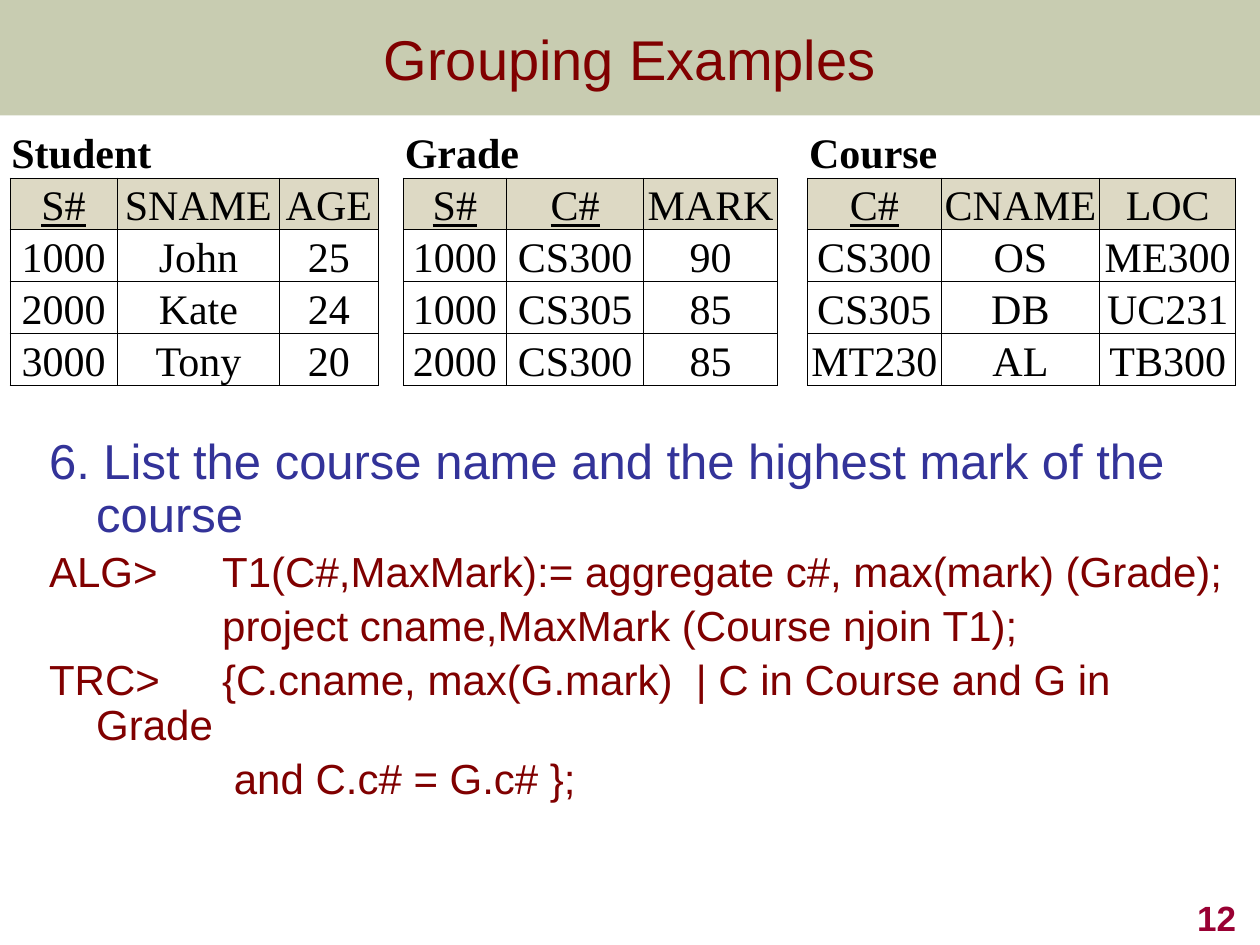
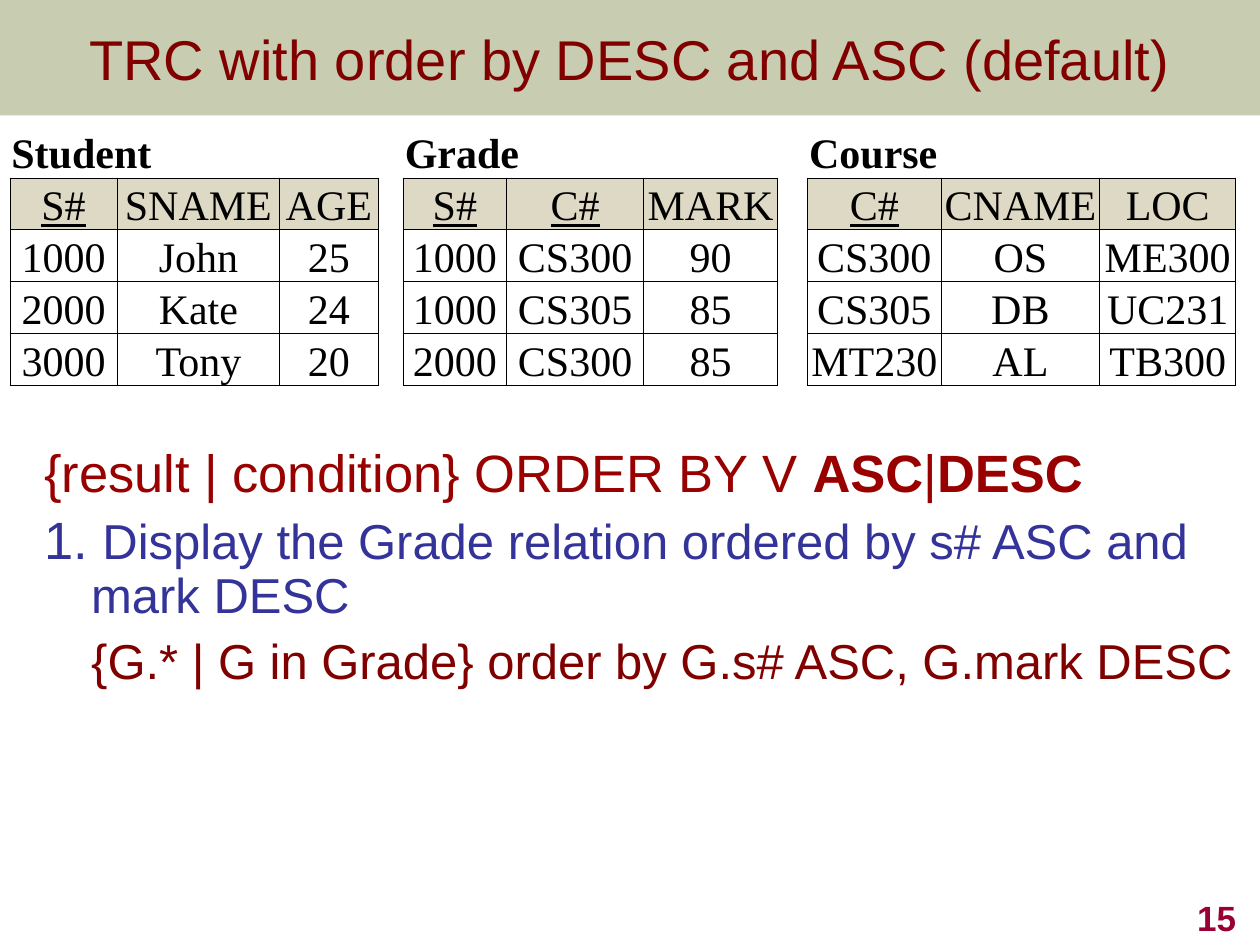
from dataclasses import dataclass

import lxml.etree
import pptx
import pptx.dml.color
import pptx.enum.shapes
import pptx.enum.text
import pptx.oxml.ns
import pptx.slide
import pptx.table
import pptx.text.text
import pptx.util
from pptx.util import Cm

ALIGN = pptx.enum.text.PP_ALIGN
ANCHOR = pptx.enum.text.MSO_ANCHOR


@dataclass(frozen=True)
class Theme:
    sans: str = "Arial"
    serif: str = "Times New Roman"
    band: str = "677228"
    band_alpha: int = 36
    title: str = "800000"
    answer: str = "800000"
    syntax: str = "990000"
    question: str = "333399"
    number: str = "990033"
    ink: str = "000000"
    paper: str = "FFFFFF"
    header: str = "DDD9C4"
    title_size: int = 32
    syntax_size: int = 30
    question_size: int = 28
    answer_size: int = 24
    cell_size: int = 24
    number_size: int = 20
    border: float = 0.5
    plain_table: str = "{2D5ABB26-0587-4C30-8999-92F81FD0307C}"


THEME = Theme()


@dataclass(frozen=True)
class Span:
    text: str
    size: int
    color: str
    bold: bool = False


@dataclass(frozen=True)
class Box:
    left: float
    top: float
    width: float
    height: float

    def lengths(self) -> tuple[Cm, Cm, Cm, Cm]:
        return Cm(self.left), Cm(self.top), Cm(self.width), Cm(self.height)


@dataclass(frozen=True)
class Relation:
    name: str
    keys: tuple[str, ...]
    columns: tuple[str, ...]
    widths: tuple[float, ...]
    rows: tuple[tuple[str, ...], ...]
    gap_after: float = 0


@dataclass(frozen=True)
class Page:
    title: str
    number: int
    body: Box
    paragraphs: tuple[tuple[Span, ...], ...]


def question(text: str) -> Span:
    return Span(text, THEME.question_size, THEME.question)


def answer(text: str, size: int = THEME.answer_size) -> Span:
    return Span(text, size, THEME.answer)


def syntax(text: str, bold: bool = False) -> Span:
    return Span(text, THEME.syntax_size, THEME.syntax, bold)


BAND = Box(0, 0, 25.4, 2.33)
NUMBER = Box(19.89, 17.78, 5.28, 1.27)
TABLE_LEFT, TABLE_TOP, ROW_HEIGHT = 0.2, 2.54, 0.97

RELATIONS = (
    Relation("Student", ("S#",), ("S#", "SNAME", "AGE"), (2.16, 3.28, 1.98),
             (("1000", "John", "25"), ("2000", "Kate", "24"), ("3000", "Tony", "20")), 0.51),
    Relation("Grade", ("S#", "C#"), ("S#", "C#", "MARK"), (2.08, 2.77, 2.69),
             (("1000", "CS300", "90"), ("1000", "CS305", "85"), ("2000", "CS300", "85")), 0.61),
    Relation("Course", ("C#",), ("C#", "CNAME", "LOC"), (2.69, 3.2, 2.74),
             (("CS300", "OS", "ME300"), ("CS305", "DB", "UC231"), ("MT230", "AL", "TB300"))),
)

PAGES = (
    Page("Grouping Examples", 12, Box(0.74, 8.69, 23.93, 7.19), (
        (question("6. List the course name and the highest mark of the course"),),
        (answer("ALG>\tT1(C#,MaxMark):= aggregate c#, max(mark) (Grade);"),),
        (answer("\t\tproject cname,MaxMark (Course njoin T1);"),),
        (answer("TRC> \t{C.cname, max(G.mark)  | C in Course and G in Grade"),),
        (answer("\t\t and C.c# = G.c# };"),),
    )),
    Page("TRC with order by DESC and ASC (default)", 15, Box(0.64, 8.89, 24.76, 6.35), (
        (syntax("{result | condition} ORDER BY V "), syntax("ASC", True),
         syntax("|"), syntax("DESC", True)),
        (Span("1. ", THEME.syntax_size, THEME.question),
         question("Display the Grade relation ordered by s# ASC and mark DESC")),
        (syntax("\t"),
         answer("{G.* | G in Grade} order by G.s# ASC, G.mark DESC", THEME.question_size)),
    )),
)


def rgb(color: str) -> pptx.dml.color.RGBColor:
    return pptx.dml.color.RGBColor.from_string(color)


def style_font(font: pptx.text.text.Font, name: str, size: int, color: str,
               bold: bool = False) -> None:
    font.name, font.size, font.bold = name, pptx.util.Pt(size), bold
    font.color.rgb = rgb(color)


def add_band(page: pptx.slide.Slide) -> None:
    band = page.shapes.add_shape(pptx.enum.shapes.MSO_SHAPE.RECTANGLE, *BAND.lengths())
    band.shadow.inherit = False
    band.fill.solid()
    band.fill.fore_color.rgb = rgb(THEME.band)
    band.line.fill.background()
    color = band.element.spPr.find(".//" + pptx.oxml.ns.qn("a:srgbClr"))
    lxml.etree.SubElement(color, pptx.oxml.ns.qn("a:alpha"), val=str(THEME.band_alpha * 1000))
    page.shapes.title.element.addprevious(band.element)


def set_title(page: pptx.slide.Slide, text: str) -> None:
    title = page.shapes.title
    title.left, title.top, title.width, title.height = BAND.lengths()
    frame = title.text_frame
    frame.text = text
    frame.vertical_anchor = ANCHOR.MIDDLE
    frame.paragraphs[0].alignment = ALIGN.CENTER
    style_font(frame.paragraphs[0].runs[0].font, THEME.sans, THEME.title_size, THEME.title)


def add_number(page: pptx.slide.Slide, number: int) -> None:
    frame = page.shapes.add_textbox(*NUMBER.lengths()).text_frame
    frame.word_wrap = True
    frame.vertical_anchor = ANCHOR.BOTTOM
    frame.text = str(number)
    para = frame.paragraphs[0]
    para.alignment = ALIGN.RIGHT
    style_font(para.runs[0].font, THEME.sans, THEME.number_size, THEME.number, True)


def add_body(page: pptx.slide.Slide, box: Box,
             paragraphs: tuple[tuple[Span, ...], ...]) -> None:
    frame = page.shapes.add_textbox(*box.lengths()).text_frame
    frame.word_wrap = True
    frame.margin_right = 0
    for index, spans in enumerate(paragraphs):
        para = frame.add_paragraph() if index else frame.paragraphs[0]
        para.line_spacing = 0.9
        para.space_before = pptx.util.Pt(0.2 * max(span.size for span in spans))
        properties = para._p.get_or_add_pPr()
        properties.set("marL", str(Cm(0.95)))
        properties.set("indent", str(Cm(-0.95)))
        properties.set("defTabSz", str(Cm(2.54)))
        for span in spans:
            run = para.add_run()
            run.text = span.text
            style_font(run.font, THEME.sans, span.size, span.color, span.bold)


def set_borders(cell: pptx.table._Cell, sides: str) -> None:
    properties = cell._tc.get_or_add_tcPr()
    for index, side in enumerate(sides):
        line = lxml.etree.Element(pptx.oxml.ns.qn("a:ln" + side),
                                  w=str(pptx.util.Pt(THEME.border)))
        fill = lxml.etree.SubElement(line, pptx.oxml.ns.qn("a:solidFill"))
        lxml.etree.SubElement(fill, pptx.oxml.ns.qn("a:srgbClr"), val=THEME.ink)
        properties.insert(index, line)


def fill_cell(cell: pptx.table._Cell, text: str, fill: str = THEME.paper,
              sides: str = "LRTB", bold: bool = False, underline: bool = False) -> None:
    cell.text = text
    para = cell.text_frame.paragraphs[0]
    para.alignment = ALIGN.LEFT if bold else ALIGN.CENTER
    for run in para.runs:
        style_font(run.font, THEME.serif, THEME.cell_size, THEME.ink, bold)
        run.font.underline = underline
    cell.vertical_anchor = ANCHOR.BOTTOM
    cell.margin_left = cell.margin_right = cell.margin_top = Cm(0.03)
    cell.margin_bottom = 0
    cell.fill.solid()
    cell.fill.fore_color.rgb = rgb(fill)
    set_borders(cell, sides)


def fill_relation(table: pptx.table.Table, relation: Relation, first: int) -> None:
    last = first + len(relation.columns) - 1
    for column in range(first, last + 1):
        fill_cell(table.cell(0, column), "", sides="B")
    table.cell(0, first).merge(table.cell(0, last))
    label = table.cell(0, first)
    label.text = relation.name
    para = label.text_frame.paragraphs[0]
    para.alignment = ALIGN.LEFT
    style_font(para.runs[0].font, THEME.serif, THEME.cell_size, THEME.ink, True)
    for offset, name in enumerate(relation.columns):
        fill_cell(table.cell(1, first + offset), name, THEME.header,
                  underline=name in relation.keys)
        for row, values in enumerate(relation.rows, start=2):
            fill_cell(table.cell(row, first + offset), values[offset])


def add_relations(page: pptx.slide.Slide) -> None:
    widths: list[float] = []
    starts: list[int] = []
    for relation in RELATIONS:
        starts.append(len(widths))
        widths.extend(relation.widths)
        if relation.gap_after:
            widths.append(relation.gap_after)
    row_count = 2 + len(RELATIONS[0].rows)
    box = Box(TABLE_LEFT, TABLE_TOP, sum(widths), row_count * ROW_HEIGHT)
    table = page.shapes.add_table(row_count, len(widths), *box.lengths()).table
    table.first_row = table.horz_banding = False
    table._tbl.tblPr.find(pptx.oxml.ns.qn("a:tableStyleId")).text = THEME.plain_table
    for column, width in zip(table.columns, widths):
        column.width = Cm(width)
    for row in table.rows:
        row.height = Cm(ROW_HEIGHT)
    for relation, first in zip(RELATIONS, starts):
        fill_relation(table, relation, first)
        if relation.gap_after:
            for row in range(row_count):
                fill_cell(table.cell(row, first + len(relation.columns)), "",
                          sides="LR" if row else "")


def add_page(deck, content: Page) -> None:
    page = deck.slides.add_slide(deck.slide_layouts.get_by_name("Title Only"))
    set_title(page, content.title)
    add_band(page)
    add_body(page, content.body, content.paragraphs)
    add_number(page, content.number)
    add_relations(page)


def main() -> None:
    deck = pptx.Presentation()
    deck.slide_width, deck.slide_height = Cm(25.4), Cm(19.05)
    for content in PAGES:
        add_page(deck, content)
    deck.save("out.pptx")


if __name__ == "__main__":
    main()
